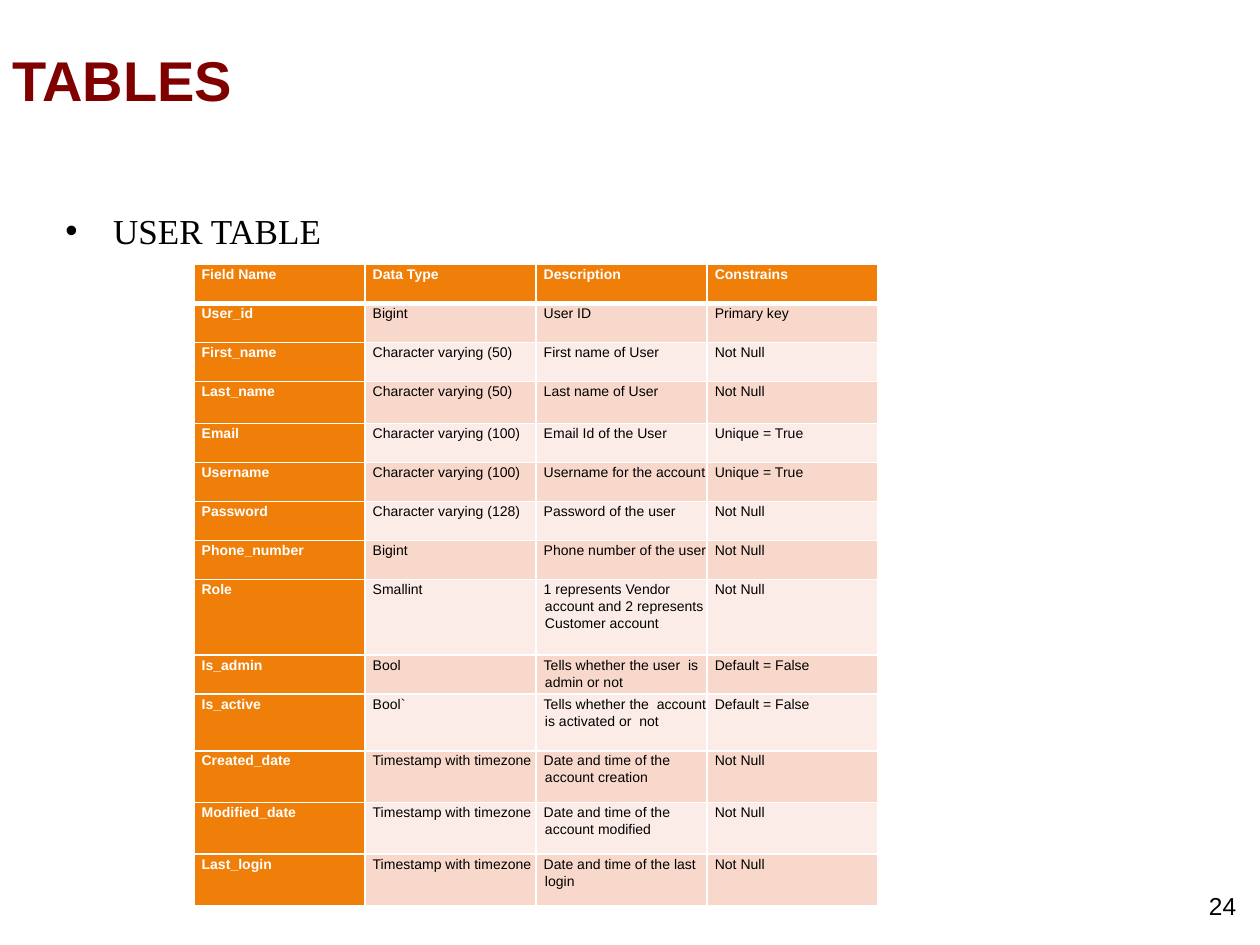
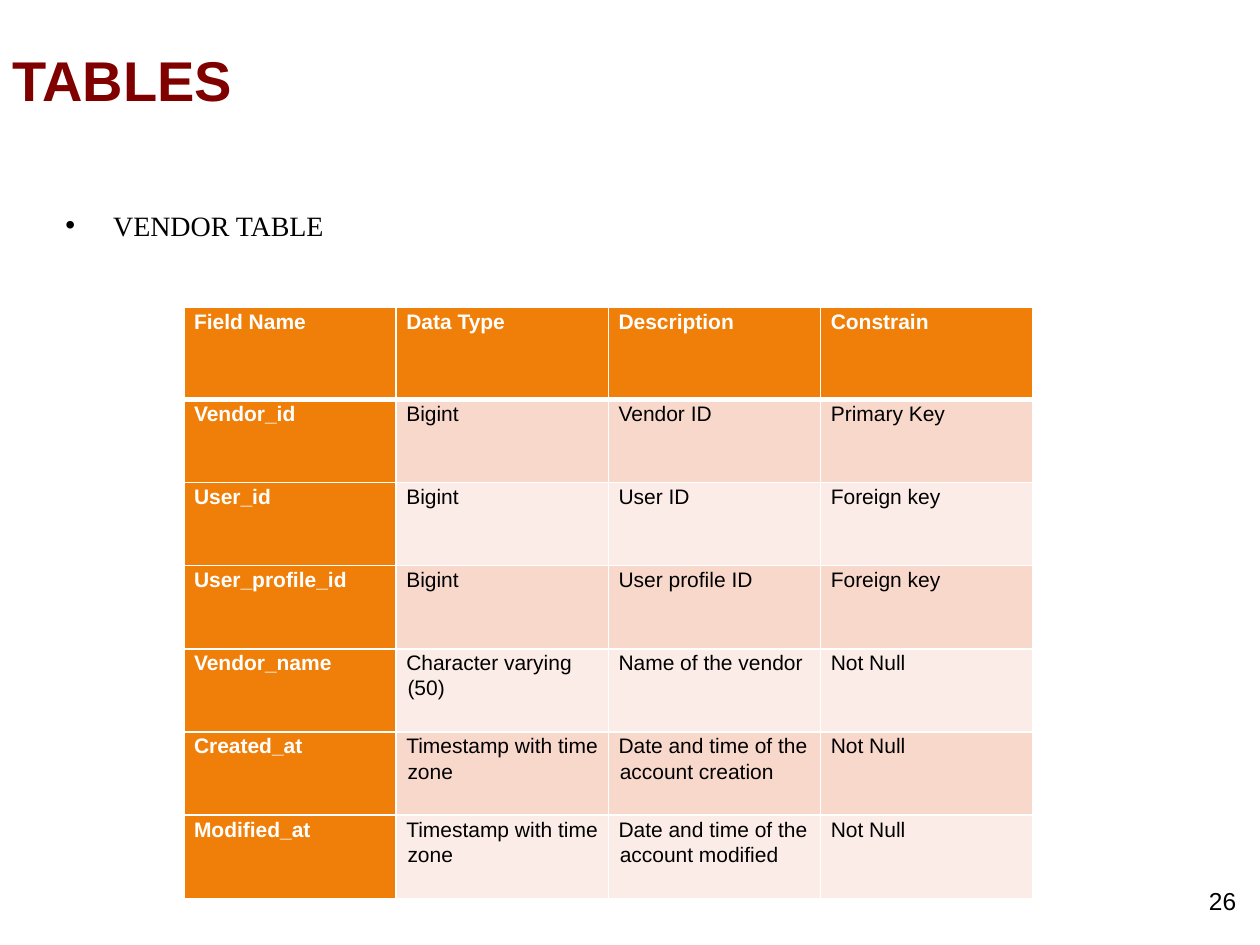
from dataclasses import dataclass

from lxml import etree
from pptx import Presentation
from pptx.dml.color import RGBColor
from pptx.enum.text import MSO_ANCHOR, PP_ALIGN
from pptx.oxml.ns import qn
from pptx.util import Inches, Pt

LEFT, RIGHT = PP_ALIGN.LEFT, PP_ALIGN.RIGHT
TOP, MIDDLE = MSO_ANCHOR.TOP, MSO_ANCHOR.MIDDLE


@dataclass(frozen=True)
class Theme:
    sans: str = "Arial"
    serif: str = "Times New Roman"
    maroon: str = "800000"
    black: str = "000000"
    white: str = "FFFFFF"
    orange: str = "F07F09"
    bands: tuple = ("F9D8CC", "FCECE7")
    title: int = 32
    number: int = 14
    thin: int = 1
    thick: int = 3


THEME = Theme()

USER_ROWS = [
    ("Field Name", "Data Type", "Description", "Constrains"),
    ("User_id", "Bigint", "User ID", "Primary key"),
    ("First_name", "Character varying (50)", "First name of User", "Not Null"),
    ("Last_name", "Character varying (50)", "Last name of User", "Not Null"),
    ("Email", "Character varying (100)", "Email Id of the User", "Unique = True"),
    ("Username", "Character varying (100)", "Username for the account", "Unique = True"),
    ("Password", "Character varying (128)", "Password of the user", "Not Null"),
    ("Phone_number", "Bigint", "Phone number of the user", "Not Null"),
    ("Role", "Smallint",
     "1 represents Vendor account and 2 represents Customer account", "Not Null"),
    ("Is_admin", "Bool", "Tells whether the user  is admin or not", "Default = False"),
    ("Is_active", "Bool`", "Tells whether the  account is activated or  not",
     "Default = False"),
    ("Created_date", "Timestamp with timezone",
     "Date and time of the account creation", "Not Null"),
    ("Modified_date", "Timestamp with timezone",
     "Date and time of the account modified", "Not Null"),
    ("Last_login", "Timestamp with timezone",
     "Date and time of the last login", "Not Null"),
]
USER_HEIGHTS = [0.31] * 3 + [0.33] + [0.31] * 4 + [0.6, 0.31, 0.45] + [0.41] * 3

VENDOR_ROWS = [
    ("Field Name", "Data Type", "Description", "Constrain"),
    ("Vendor_id", "Bigint", "Vendor ID", "Primary Key"),
    ("User_id", "Bigint", "User ID", "Foreign key"),
    ("User_profile_id", "Bigint", "User profile ID", "Foreign key"),
    ("Vendor_name", "Character varying (50)", "Name of the vendor", "Not Null"),
    ("Created_at", "Timestamp with time zone",
     "Date and time of the account creation", "Not Null"),
    ("Modified_at", "Timestamp with time zone",
     "Date and time of the account modified", "Not Null"),
]
VENDOR_HEIGHTS = [0.73] + [0.66] * 6


def write(frame, text, *, size, font=THEME.sans, color=THEME.black, bold=False,
          align=LEFT, spacing=1.0, before=0, after=0, indent=None, bullet=None):
    """Fill a text frame; indent is (left margin, first line) in inches."""
    frame.word_wrap = True
    para = frame.paragraphs[0]
    para.alignment = align
    para.line_spacing = spacing
    para.space_before, para.space_after = Pt(before), Pt(after)
    run = para.add_run()
    run.text = text
    run.font.size, run.font.name, run.font.bold = Pt(size), font, bold
    run.font.color.rgb = RGBColor.from_string(color)
    props = para._p.get_or_add_pPr()
    if indent:
        props.set("marL", str(Inches(indent[0])))
        props.set("indent", str(Inches(indent[1])))
    if bullet:
        etree.SubElement(props, qn("a:buFont"), typeface=THEME.sans)
        etree.SubElement(props, qn("a:buChar"), char=bullet)


def add_text(slide, box, text, anchor=TOP, **style):
    frame = slide.shapes.add_textbox(*map(Inches, box)).text_frame
    frame.vertical_anchor = anchor
    write(frame, text, **style)


def add_edges(cell, top, bottom):
    """Draw white borders; top and bottom are widths in points."""
    props = cell._tc.get_or_add_tcPr()
    widths = {"lnL": THEME.thin, "lnR": THEME.thin, "lnT": top, "lnB": bottom}
    for tag, width in widths.items():
        line = etree.SubElement(props, qn(f"a:{tag}"), w=str(Pt(width)))
        fill = etree.SubElement(line, qn("a:solidFill"))
        etree.SubElement(fill, qn("a:srgbClr"), val=THEME.white)


def add_cell(cell, text, row, col, size, inset):
    head = row == 0 or col == 0
    add_edges(cell, THEME.thick if row == 1 else THEME.thin,
              THEME.thick if row == 0 else THEME.thin)
    cell.fill.solid()
    fill = THEME.orange if head else THEME.bands[(row - 1) % 2]
    cell.fill.fore_color.rgb = RGBColor.from_string(fill)
    cell.margin_left, cell.margin_top = Inches(inset), Inches(0.01)
    cell.margin_right = cell.margin_bottom = 0
    write(cell.text_frame, text, size=size, bold=head,
          color=THEME.white if head else THEME.black,
          spacing=1.07, after=5.3, indent=(0.02, -0.01))


def add_grid(slide, place, width, rows, heights, size, inset):
    box = (*place, width, sum(heights))
    table = slide.shapes.add_table(len(rows), len(rows[0]), *map(Inches, box)).table
    table.first_col = True
    for r, (texts, height) in enumerate(zip(rows, heights)):
        table.rows[r].height = Inches(height)
        for c, text in enumerate(texts):
            add_cell(table.cell(r, c), text, r, c, size, inset)


def add_page(deck, label, size, number, foot):
    """Add a slide with the shared title, bulleted label and page number."""
    slide = deck.slides.add_slide(deck.slide_layouts[6])
    add_text(slide, (0, 0, 8.75, 1.25), "TABLES", MIDDLE,
             size=THEME.title, color=THEME.maroon, bold=True)
    add_text(slide, (0.42, 1.55, 9, 4.95), label, size=size, font=THEME.serif,
             spacing=1.2, before=2, indent=(0.38, -0.38), bullet="•")
    add_text(slide, (7.58, foot, 2.33, 0.52), number,
             size=THEME.number, align=RIGHT)
    return slide


def main():
    deck = Presentation()
    deck.slide_width, deck.slide_height = Inches(10), Inches(7.5)

    user = add_page(deck, "USER TABLE", 20, "24", 7.02)
    add_grid(user, (1.54, 2.1), 5.43, USER_ROWS, USER_HEIGHTS, 8, 0.05)

    vendor = add_page(deck, "VENDOR TABLE", 16, "26", 6.98)
    add_grid(vendor, (1.46, 2.44), 6.74, VENDOR_ROWS, VENDOR_HEIGHTS, 12, 0.07)

    deck.save("out.pptx")


if __name__ == "__main__":
    main()
